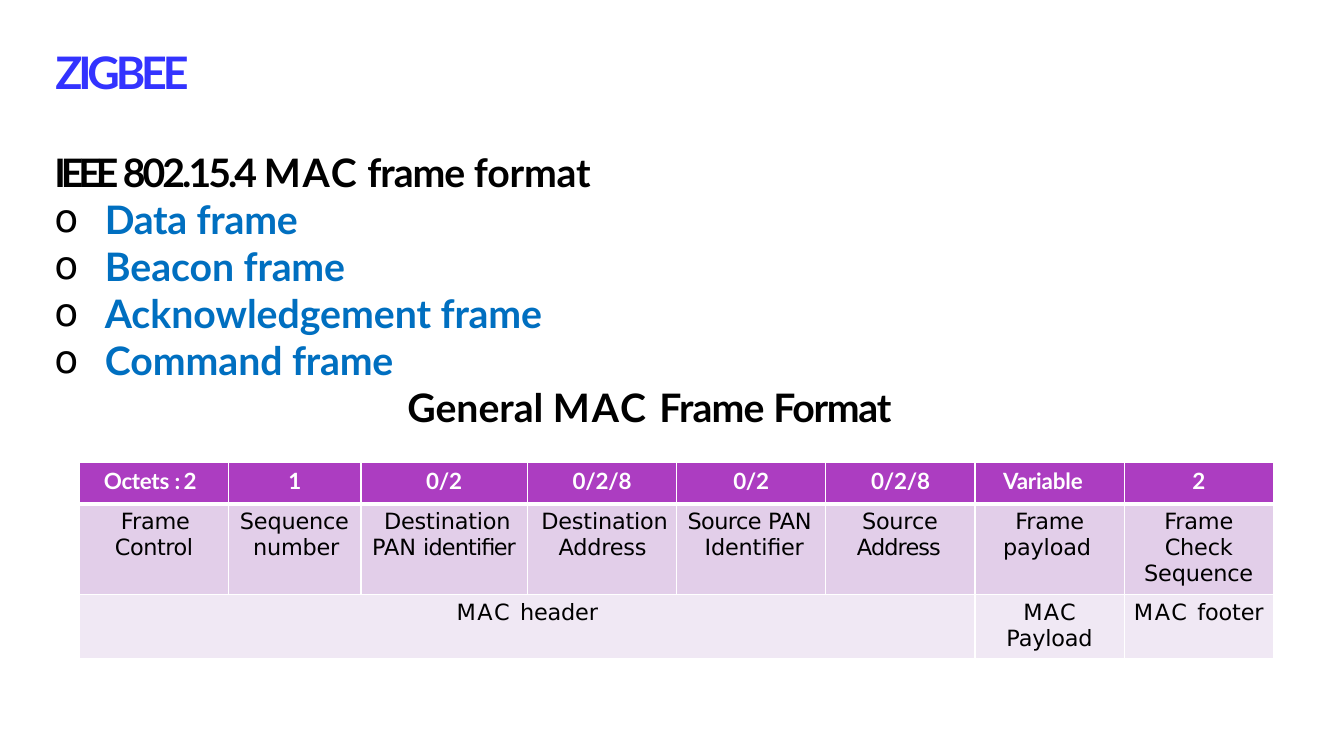
from dataclasses import dataclass

from lxml.etree import SubElement
from pptx import Presentation
from pptx.dml.color import RGBColor
from pptx.enum.text import MSO_ANCHOR, MSO_AUTO_SIZE, PP_ALIGN
from pptx.oxml import parse_xml
from pptx.oxml.ns import nsdecls, qn
from pptx.util import Inches, Pt


@dataclass
class Cell:
    lines: list
    indent: float = 0
    first: float = 0
    side: float = 0


@dataclass
class Style:
    size: float
    font: str
    color: str
    bold: bool


HEADER_STYLE = Style(16, "Lato", "FFFFFF", True)
CELL_STYLE = Style(16, "DejaVu Sans", "000000", False)
TITLE_STYLE = Style(32, "Lato", "3333FF", True)
HEADING_STYLE = Style(28, "Lato", "000000", True)
FRAME_STYLE = Style(28, "Lato", "006FC0", True)

HEADING = [("IEEE ", -3.6), ("802.15.4 ", -2.1), ("MAC", 1.4), (" frame ", -0.7), ("format", -0.1)]
FRAME_TYPES = [("Data ", -0.2), ("Beacon ", 0), ("Acknowledgement ", 0), ("Command ", 0)]
CAPTION = [("General ", 0), ("MAC ", 1.4), ("Frame ", -0.6), ("Format", -0.9)]

COLUMN_WIDTHS = [1.48, 1.31, 1.65] + [1.48] * 5
ROW_HEIGHTS = [0.41, 0.9, 0.63]
ROW_FILLS = ["AC3DC1", "E2CEE9", "F0E8F4"]
ROW_STYLES = [HEADER_STYLE, CELL_STYLE, CELL_STYLE]
ROW_SPACES = [3.4, 3.2, 3.3]
HEADER_SPAN = 6

OCTETS = [
    Cell([[("Octets ", -0.2), (": ", -1.5), ("2", -0.5)]], 0.24),
    Cell([[("1", -0.5)]]),
    Cell([[("0/2", -0.2)]]),
    Cell([[("0/2/8", -0.1)]], 0.45),
    Cell([[("0/2", -0.2)]]),
    Cell([[("0/2/8", -0.1)]], 0.45),
    Cell([[("Variable", -0.1)]], 0.28),
    Cell([[("2", -0.5)]]),
]
FIELDS = [
    Cell([[("Frame ", -0.1), ("Control", -0.3)]], 0.35, 0.06),
    Cell([[("Sequence number", -0.1)]], 0.24, -0.13),
    Cell([[("Destination ", -0.1), ("PAN ", 0), ("identifier", -0.6)]], 0.11, 0.12),
    Cell([[("Destination ", -0.1), ("Address", -0.1)]], 0.31, -0.17),
    Cell([[("Source ", -0.4), ("PAN ", -0.2), ("Identifier", -0.1)]], 0.28, -0.17),
    Cell([[("Source ", -0.1), ("Address", -0.6)]], 0.31, 0.05),
    Cell([[("Frame payload", -0.1)]], 0.28, 0.12),
    Cell([[("Frame Check Sequence", -0.1)]], side=0.15),
]
PARTS = {
    0: Cell([[("MAC ", 1.2), ("header", -0.1)]]),
    6: Cell([[("MAC", 1)], [("Payload", -0.1)]]),
    7: Cell([[("MAC ", 1.2), ("footer", -0.1)]]),
}
ROWS = [dict(enumerate(OCTETS)), dict(enumerate(FIELDS)), PARTS]


def rgb(color):
    return RGBColor.from_string(color)


def add_spans(para, spans, style):
    for text, spacing in spans:
        span = para.add_run()
        span.text = text
        span.font.size = Pt(style.size)
        span.font.name = style.font
        span.font.bold = style.bold
        span.font.color.rgb = rgb(style.color)
        span._r.get_or_add_rPr().set("spc", str(round(spacing * 100)))


def set_indent(para, left, first=0):
    properties = para._p.get_or_add_pPr()
    properties.set("marL", str(Inches(left)))
    properties.set("indent", str(Inches(first)))
    return properties


def place(shape, box, inset_top):
    shape.left, shape.top, shape.width, shape.height = (Inches(length) for length in box)
    frame = shape.text_frame
    frame.margin_left = frame.margin_right = frame.margin_bottom = 0
    frame.margin_top = Inches(inset_top)
    frame.vertical_anchor = MSO_ANCHOR.TOP
    frame.word_wrap = True
    frame.auto_size = MSO_AUTO_SIZE.SHAPE_TO_FIT_TEXT
    return frame


def fill_title(shape, box):
    para = place(shape, box, 0.21).paragraphs[0]
    set_indent(para, 0.08)
    para.alignment = PP_ALIGN.LEFT
    add_spans(para, [("ZIGBEE", -3)], TITLE_STYLE)


def add_bullet(properties):
    color = SubElement(properties, qn("a:buClr"))
    SubElement(color, qn("a:srgbClr")).set("val", "000000")
    SubElement(properties, qn("a:buFont")).set("typeface", "DejaVu Sans")
    SubElement(properties, qn("a:buChar")).set("char", "o")
    tabs = SubElement(properties, qn("a:tabLst"))
    tab = SubElement(tabs, qn("a:tab"))
    tab.set("pos", str(Inches(0.51)))
    tab.set("algn", "l")


def fill_body(shape, box):
    frame = place(shape, box, 0.01)
    lines = [(HEADING, HEADING_STYLE, 0.01, 0)]
    lines += [([kind, ("frame", -0.1)], FRAME_STYLE, 0.51, -0.5) for kind in FRAME_TYPES]
    lines.append((CAPTION, HEADING_STYLE, 3.51, 0))
    for index, (spans, style, left, first) in enumerate(lines):
        para = frame.add_paragraph() if index else frame.paragraphs[0]
        properties = set_indent(para, left, first)
        if first:
            add_bullet(properties)
        else:
            SubElement(properties, qn("a:buNone"))
        para.space_before = Pt(0)
        add_spans(para, spans, style)


def set_borders(cell, top, bottom):
    properties = cell._tc.get_or_add_tcPr()
    for index, (side, width) in enumerate(zip("LRTB", (1, 1, top, bottom))):
        properties.insert(index, parse_xml(
            f'<a:ln{side} {nsdecls("a")} w="{Pt(width)}"><a:solidFill>'
            f'<a:srgbClr val="FFFFFF"/></a:solidFill></a:ln{side}>'))


def fill_cell(cell, content, style, space):
    cell.margin_left = cell.margin_right = Inches(content.side)
    for index, spans in enumerate(content.lines):
        frame = cell.text_frame
        para = frame.add_paragraph() if index else frame.paragraphs[0]
        set_indent(para, content.indent, content.first)
        para.alignment = PP_ALIGN.LEFT if content.indent else PP_ALIGN.CENTER
        if not index:
            para.space_before = Pt(space)
        add_spans(para, spans, style)


def add_frame_table(page, box):
    lengths = [Inches(length) for length in box]
    table = page.shapes.add_table(len(ROWS), len(COLUMN_WIDTHS), *lengths).table
    for column, width in zip(table.columns, COLUMN_WIDTHS):
        column.width = Inches(width)
    for row_index, contents in enumerate(ROWS):
        table.rows[row_index].height = Inches(ROW_HEIGHTS[row_index])
        for column_index in range(len(COLUMN_WIDTHS)):
            cell = table.cell(row_index, column_index)
            cell.margin_left = cell.margin_right = cell.margin_bottom = 0
            cell.margin_top = Inches(0.05)
            cell.fill.solid()
            cell.fill.fore_color.rgb = rgb(ROW_FILLS[row_index])
            set_borders(cell, 3 if row_index == 1 else 1, 3 if row_index == 0 else 1)
            if column_index in contents:
                fill_cell(cell, contents[column_index], ROW_STYLES[row_index], ROW_SPACES[row_index])
    table.cell(2, 0).merge(table.cell(2, HEADER_SPAN - 1))


def main():
    deck = Presentation()
    deck.slide_width, deck.slide_height = Inches(13.33), Inches(7.5)
    page = deck.slides.add_slide(deck.slide_layouts[1])
    fill_title(page.shapes.title, (0.47, 0.23, 8.61, 0.78))
    fill_body(page.placeholders[1], (0.53, 1.46, 8.81, 2.83))
    add_frame_table(page, (0.79, 4.59, sum(COLUMN_WIDTHS), sum(ROW_HEIGHTS)))
    deck.save("out.pptx")


if __name__ == "__main__":
    main()
